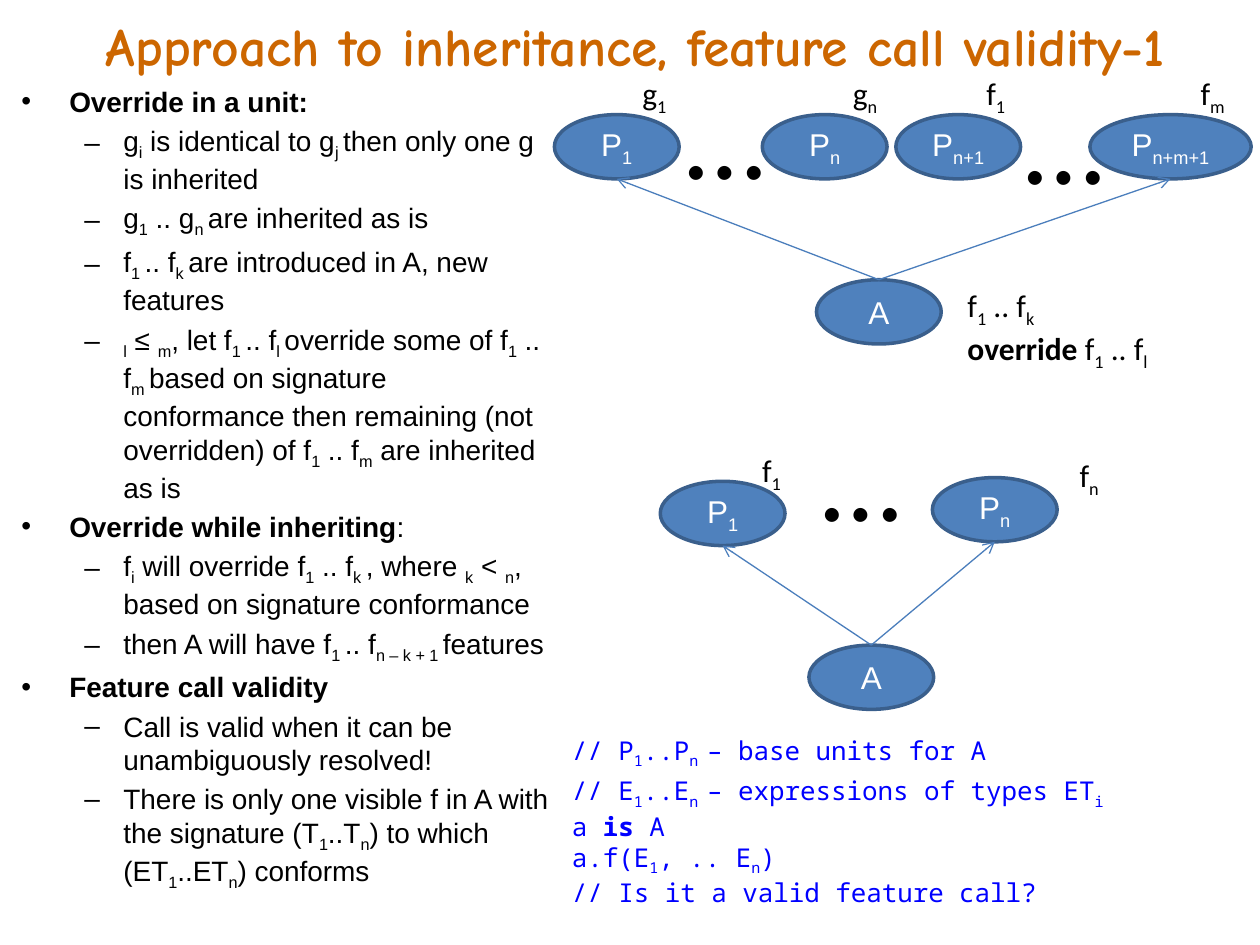
from pptx import Presentation
from pptx.dml.color import RGBColor
from pptx.enum.shapes import MSO_CONNECTOR, MSO_SHAPE
from pptx.enum.text import MSO_ANCHOR, PP_ALIGN
from pptx.oxml.ns import qn
from pptx.util import Inches, Pt
from lxml.etree import SubElement

BLACK, WHITE, BLUE = "000000", "FFFFFF", "0000FF"
NODE_FILL, NODE_LINE, ARROW = "4F81BD", "3A5F8C", "4B7EBC"
NODE_W, NODE_H = 0.99, 0.51


def color(value):
    return RGBColor.from_string(value)


def write(p, markup, size, font, ink):
    for i, part in enumerate(markup.split("~")):
        for j, text in enumerate(part.split("*")):
            if not text:
                continue
            r = p.add_run()
            r.text = text
            r.font.size, r.font.name = Pt(size), font
            r.font.bold = j % 2 == 1
            r.font.color.rgb = color(ink)
            if i % 2:
                r.font._element.set("baseline", "-25000")


def paragraphs(tf, lines):
    for i, line in enumerate(lines):
        yield (tf.add_paragraph() if i else tf.paragraphs[0]), line


def text_box(s, x, y, w, h):
    tf = s.shapes.add_textbox(Inches(x), Inches(y), Inches(w), Inches(h)).text_frame
    tf.word_wrap = True
    return tf


def label(s, x, y, w, h, *lines, size=18):
    for p, line in paragraphs(text_box(s, x, y, w, h), lines):
        write(p, line, size, "Calibri", BLACK)


def dots(s, x, y):
    label(s, x, y, 1.41, 1.21, "…", size=66)


def node(s, x, y, name, w=NODE_W):
    sp = s.shapes.add_shape(MSO_SHAPE.OVAL, Inches(x), Inches(y), Inches(w), Inches(NODE_H))
    sp.shadow.inherit = False
    sp.fill.solid()
    sp.fill.fore_color.rgb = color(NODE_FILL)
    sp.line.color.rgb = color(NODE_LINE)
    sp.line.width = Pt(2)
    tf = sp.text_frame
    tf.margin_left = tf.margin_right = 0
    tf.vertical_anchor = MSO_ANCHOR.MIDDLE
    p = tf.paragraphs[0]
    p.alignment = PP_ALIGN.CENTER
    write(p, name, 18, "Arial", WHITE)
    return sp


def inherit(s, child, parent):
    cn = s.shapes.add_connector(
        MSO_CONNECTOR.STRAIGHT,
        child.left + child.width // 2, child.top,
        parent.left + parent.width // 2, parent.top + parent.height)
    cn.line.color.rgb = color(ARROW)
    cn.line.width = Pt(0.75)
    SubElement(cn.line._get_or_add_ln(), qn("a:tailEnd"), type="arrow")
    SubElement(cn._element.spPr, qn("a:effectLst"))


def title(s, x, y, w, h):
    sp = s.shapes.title
    sp.left, sp.top, sp.width, sp.height = Inches(x), Inches(y), Inches(w), Inches(h)
    tf = sp.text_frame
    tf.margin_left = tf.margin_right = 0
    tf.vertical_anchor = MSO_ANCHOR.MIDDLE
    p = tf.paragraphs[0]
    p.alignment = PP_ALIGN.CENTER
    write(p, "*Approach to inheritance, feature call validity-1*", 30.6, "Comic Neue", "CC6600")


def rules(s, x, y, w, h):
    tf = text_box(s, x, y, w, h)
    tf.margin_left = tf.margin_top = 0
    lines = [
        (0, "*Override in a unit:*"),
        (1, "g~i~ is identical to g~j ~then only one g is inherited"),
        (1, "g~1~ .. g~n ~are inherited as is"),
        (1, "f~1 ~.. f~k ~are introduced in A, new features"),
        (1, "~l~ ≤ ~m~, let f~1 ~.. f~l ~override some of f~1~ .. f~m ~based on signature "
            "conformance then remaining (not overridden) of f~1~ .. f~m~ are inherited as is"),
        (0, "*Override while inheriting*:"),
        (1, "f~i~ will override f~1~ .. f~k ~, where ~k~ < ~n~, based on signature conformance"),
        (1, "then A will have f~1 ~.. f~n – k + 1 ~features"),
        (0, "*Feature call validity*"),
        (1, "Call is valid when it can be unambiguously resolved!"),
        (1, "There is only one visible f in A with the signature (T~1~..T~n~) to which "
            "(ET~1~..ET~n~) conforms"),
    ]
    bullets = [(0.38, -0.38, "•"), (0.81, -0.31, "–")]
    for p, (level, line) in paragraphs(tf, lines):
        margin, indent, char = bullets[level]
        p.level = level
        p.space_before = Pt(3.2)
        write(p, line, 16, "Arial", BLACK)
        pPr = p._p.get_or_add_pPr()
        pPr.set("marL", str(Inches(margin)))
        pPr.set("indent", str(Inches(indent)))
        SubElement(pPr, qn("a:buFont"), typeface="Arial")
        SubElement(pPr, qn("a:buChar"), char=char)


def code(s, x, y, w, h):
    lines = [
        (3, "// P~1~..P~n ~– base units for A"),
        (3, "// E~1~..E~n ~– expressions of types ET~i~"),
        (0, "a *is *A"),
        (0, "a.f(E~1~, .. E~n~)"),
        (0, "// Is it a valid feature call?"),
    ]
    for p, (gap, line) in paragraphs(text_box(s, x, y, w, h), lines):
        p.space_before = Pt(gap)
        write(p, line, 14.8, "Noto Sans Mono", BLUE)


def unit_override(s, x, y):
    row = y + 0.45
    child = node(s, x + 2.08, y + 1.76, "A")
    first = node(s, x, row, "P~1~")
    node(s, x + 1.65, row, "P~n~")
    node(s, x + 2.71, row, "P~n+1~")
    last = node(s, x + 4.25, row, "P~n+m+1~", 1.28)
    for parent in (first, last):
        inherit(s, child, parent)
    dots(s, x + 0.94, y)
    dots(s, x + 3.63, y + 0.04)
    for dx, w, name in [(0.6, 0.42, "g~1~"), (2.27, 0.53, "g~n~"),
                        (3.33, 0.36, "f~1~"), (5.03, 0.47, "f~m~")]:
        label(s, x + dx, y + 0.08, w, 0.4, name)
    label(s, x + 3.18, y + 1.76, 1.79, 0.71, "f~1~ .. f~k~", "*override *f~1~ .. f~l~")


def inheriting_override(s, x, y):
    child = node(s, x + 1.18, y + 1.95, "A")
    for parent in (node(s, x, y + 0.65, "P~1~"), node(s, x + 2.16, y + 0.62, "P~n~")):
        inherit(s, child, parent)
    dots(s, x + 1.18, y)
    label(s, x + 0.71, y + 0.36, 0.73, 0.4, "f~1~")
    label(s, x + 3.23, y + 0.4, 0.73, 0.4, "f~n~")


prs = Presentation()
prs.slide_width, prs.slide_height = Inches(10), Inches(7.5)
s = prs.slides.add_slide(prs.slide_layouts[5])
title(s, -0.17, 0, 10.42, 0.72)
rules(s, 0.17, 0.67, 4.33, 6.75)
code(s, 4.44, 5.78, 4.62, 1.32)
unit_override(s, 4.4, 0.46)
inheriting_override(s, 5.24, 3.17)
prs.save("out.pptx")
